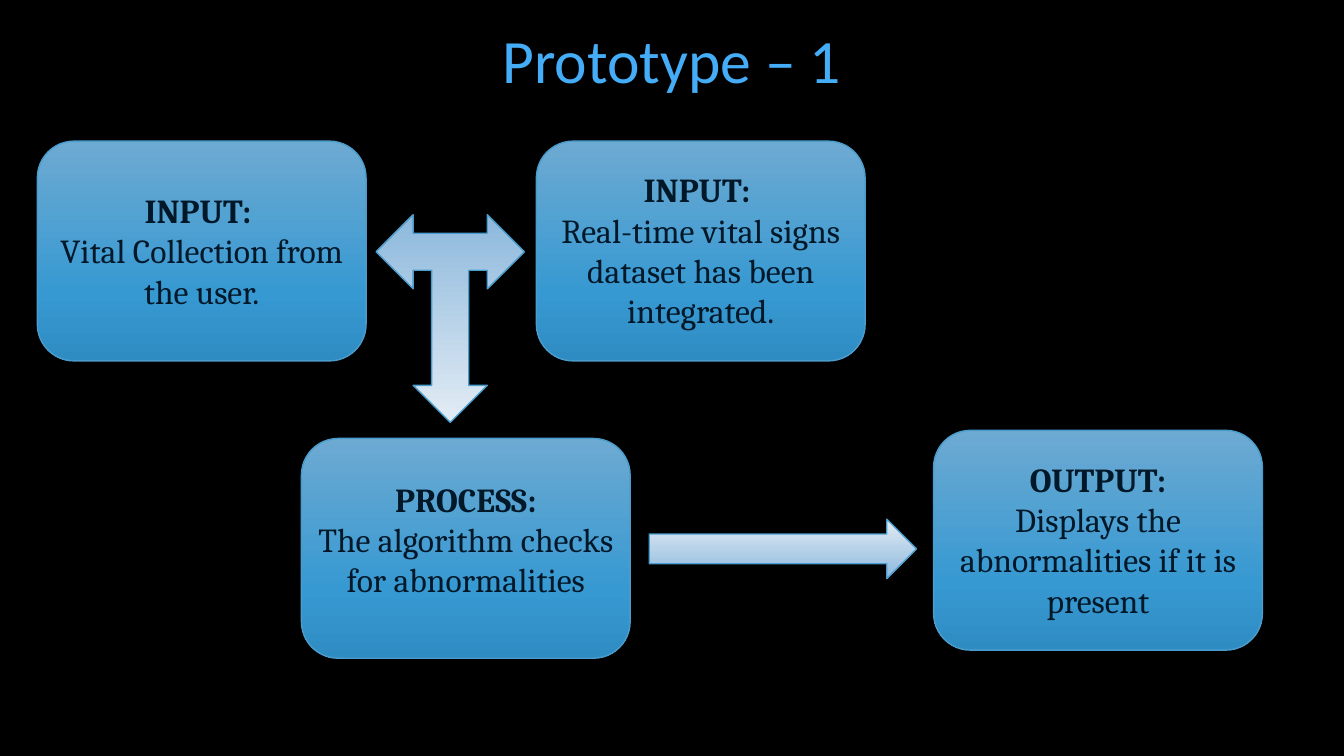
import dataclasses

import lxml.etree
import pptx
import pptx.dml.color
import pptx.enum.shapes
import pptx.enum.text
import pptx.oxml.ns
import pptx.util

WIDE = pptx.util.Inches(13.33)
HIGH = pptx.util.Inches(7.5)
KIND = pptx.enum.shapes.MSO_SHAPE
LINE = "4A9CCC"
BLUE = [(0, "6DAAD2"), (69, "3799D2"), (100, "2F8CC2")]
PALE = [(0, "E3ECF5"), (100, "8CB8DC")]
CARD_W, CARD_H = 24.46, 29.07
ROW_H, PAD_H = 5.47, 1.07


@dataclasses.dataclass
class Area:
    left: float
    top: float
    width: float
    height: float

    def lengths(self) -> tuple[int, int, int, int]:
        return (int(WIDE * self.left / 100), int(HIGH * self.top / 100),
                int(WIDE * self.width / 100), int(HIGH * self.height / 100))


@dataclasses.dataclass
class Card:
    left: float
    top: float
    head: str
    body: str
    rows: int
    lift: float = 0


@dataclasses.dataclass
class Arrow:
    kind: KIND
    area: Area
    turn: int = 0


CARDS = [
    Card(2.78, 18.67, "INPUT: ", "Vital Collection from the user.", 3),
    Card(39.91, 18.67, "INPUT: ",
         "Real-time vital signs dataset has been integrated.", 4),
    Card(22.43, 58, "PROCESS:", "The algorithm checks for abnormalities", 3, 1.13),
    Card(69.47, 56.93, "OUTPUT:",
         "Displays the abnormalities if it is present", 4),
]
ARROWS = [
    Arrow(KIND.LEFT_RIGHT_UP_ARROW, Area(27.98, 28.4, 11.03, 27.47), 180),
    Arrow(KIND.RIGHT_ARROW, Area(48.31, 68.67, 19.88, 7.87)),
]


def tint(code: str) -> pptx.dml.color.RGBColor:
    return pptx.dml.color.RGBColor.from_string(code)


def shade(shape, stops: list[tuple[int, str]]) -> None:
    name = pptx.oxml.ns.qn
    shape.fill.gradient()
    shape.fill.gradient_angle = 270
    group = shape.element.spPr.find(name("a:gradFill")).find(name("a:gsLst"))
    for old in list(group):
        group.remove(old)
    for place, code in stops:
        stop = lxml.etree.SubElement(group, name("a:gs"), pos=str(place * 1000))
        lxml.etree.SubElement(stop, name("a:srgbClr"), val=code)


def draw_form(slide, kind: KIND, area: Area, stops: list[tuple[int, str]],
              turn: int = 0) -> None:
    shape = slide.shapes.add_shape(kind, *area.lengths())
    shape.rotation = turn
    shape.shadow.inherit = False
    shade(shape, stops)
    shape.line.color.rgb = tint(LINE)
    shape.line.width = pptx.util.Pt(1)


def draw_text(slide, area: Area, lines: list[tuple[str, bool]], font: str,
              size: int, code: str, wrap: bool = True) -> None:
    frame = slide.shapes.add_textbox(*area.lengths()).text_frame
    frame.word_wrap = wrap
    frame.auto_size = pptx.enum.text.MSO_AUTO_SIZE.SHAPE_TO_FIT_TEXT
    for spot, (words, bold) in enumerate(lines):
        para = frame.add_paragraph() if spot else frame.paragraphs[0]
        para.alignment = pptx.enum.text.PP_ALIGN.CENTER
        run = para.add_run()
        run.text = words
        run.font.name = font
        run.font.size = pptx.util.Pt(size)
        run.font.bold = bold
        run.font.color.rgb = tint(code)


def draw_card(slide, card: Card) -> None:
    area = Area(card.left, card.top, CARD_W, CARD_H)
    draw_form(slide, KIND.FLOWCHART_ALTERNATE_PROCESS, area, BLUE)
    height = PAD_H + ROW_H * card.rows
    top = card.top + (CARD_H - height) / 2 - card.lift
    draw_text(slide, Area(card.left, top, CARD_W, height),
              [(card.head, True), (card.body, False)], "Cambria", 24, "011829")


def main() -> None:
    deck = pptx.Presentation()
    deck.slide_width, deck.slide_height = WIDE, HIGH
    slide = deck.slides.add_slide(deck.slide_layouts[6])
    slide.background.fill.solid()
    slide.background.fill.fore_color.rgb = tint("000000")
    draw_text(slide, Area(32.78, 2.27, 34.43, 11.2), [("Prototype – 1", False)],
              "Calibri", 44, "45ADF8", wrap=False)
    for card in CARDS:
        draw_card(slide, card)
    for arrow in ARROWS:
        draw_form(slide, arrow.kind, arrow.area, PALE, arrow.turn)
    deck.save("out.pptx")


if __name__ == "__main__":
    main()
